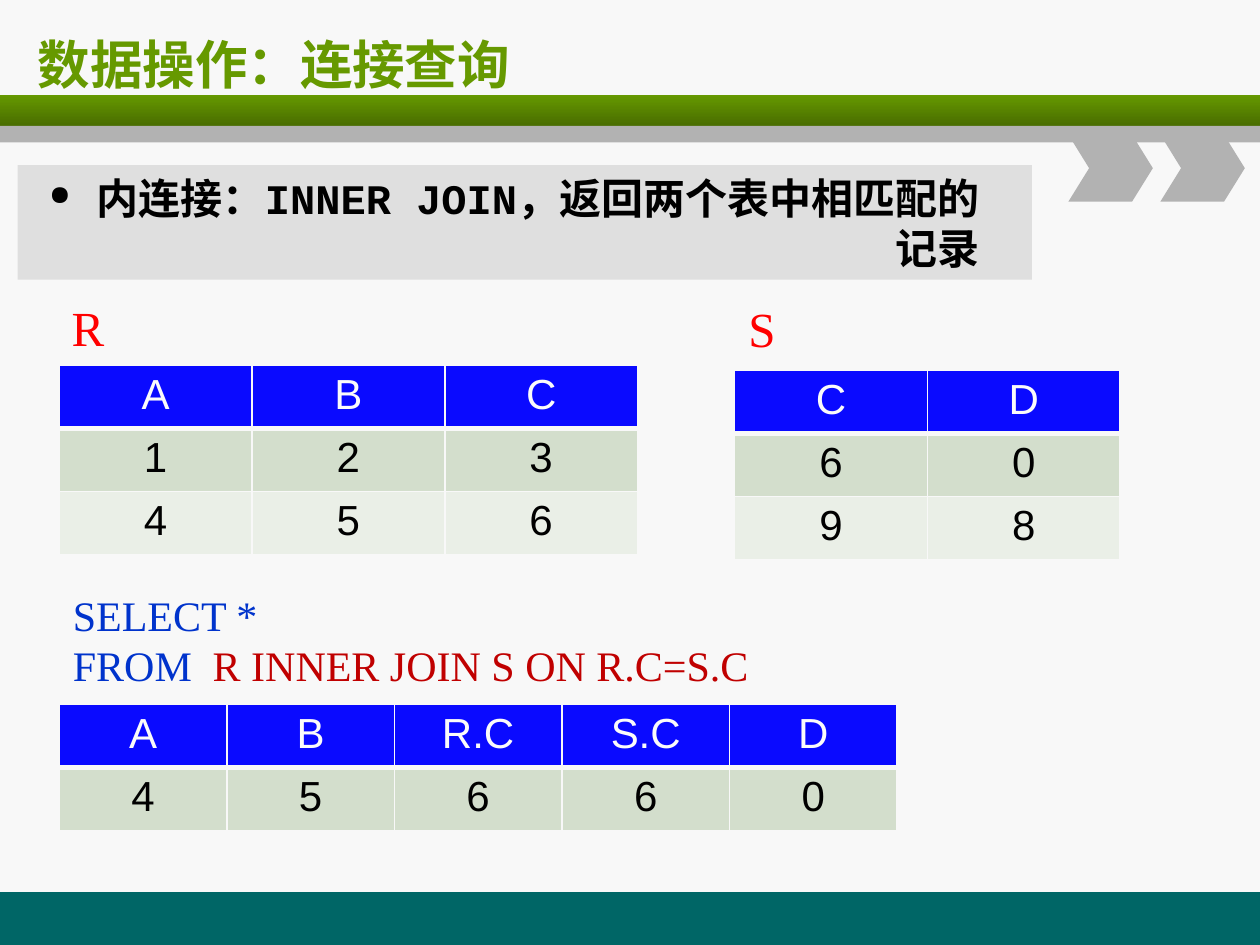
from lxml import etree
from pptx import Presentation
from pptx.dml.color import RGBColor
from pptx.enum.shapes import MSO_SHAPE
from pptx.enum.text import MSO_ANCHOR, PP_ALIGN
from pptx.oxml.ns import qn
from pptx.util import Inches, Pt

RECTANGLE = MSO_SHAPE.RECTANGLE
CHEVRON = MSO_SHAPE.CHEVRON
MIDDLE = MSO_ANCHOR.MIDDLE
CENTER = PP_ALIGN.CENTER
LEFT = PP_ALIGN.LEFT
RIGHT = PP_ALIGN.RIGHT

BACKGROUND = RGBColor(0xF8, 0xF8, 0xF8)
TEAL = RGBColor(0x00, 0x66, 0x66)
GREEN = RGBColor(0x66, 0x99, 0x00)
DARK_GREEN = RGBColor(0x49, 0x6D, 0x00)
GRAY = RGBColor(0xB2, 0xB2, 0xB2)
LIGHT_GRAY = RGBColor(0xDF, 0xDF, 0xDF)
RED = RGBColor(0xFF, 0x00, 0x00)
DARK_RED = RGBColor(0xC0, 0x00, 0x00)
BLUE = RGBColor(0x00, 0x33, 0xCC)
HEADER_BLUE = RGBColor(0x0A, 0x0A, 0xFF)
HEADER_TEXT = RGBColor(0xFB, 0xFB, 0xFB)
BLACK = RGBColor(0x00, 0x00, 0x00)
ROW_FILLS = [RGBColor(0xD3, 0xDE, 0xCC), RGBColor(0xEA, 0xEF, 0xE7)]
ROW_HEIGHT = 0.5


def add_block(slide, preset, left, top, width, height, color):
    shape = slide.shapes.add_shape(
        preset, Inches(left), Inches(top), Inches(width), Inches(height))
    shape.shadow.inherit = False
    shape.fill.solid()
    shape.fill.fore_color.rgb = color
    shape.line.fill.background()
    return shape


def add_run(paragraph, text, size, font, color, bold=False):
    run = paragraph.add_run()
    run.text = text
    run.font.size = Pt(size)
    run.font.name = font
    run.font.bold = bold
    run.font.color.rgb = color
    return run


def add_text_box(slide, left, top, width, height, wrap=False):
    box = slide.shapes.add_textbox(
        Inches(left), Inches(top), Inches(width), Inches(height))
    box.text_frame.word_wrap = wrap
    return box.text_frame


def add_frame(slide, top):
    add_block(slide, RECTANGLE, 0, 7.08, 10, 0.42, TEAL)
    band = add_block(slide, RECTANGLE, 0, top, 10, 0.25, GREEN)
    band.fill.gradient()
    band.fill.gradient_angle = 270
    for stop, position, color in zip(
            band.fill.gradient_stops, (0, 1), (GREEN, DARK_GREEN)):
        stop.position = position
        stop.color.rgb = color
    add_block(slide, RECTANGLE, 0, top + 0.25, 10, 0.13, GRAY)
    for left in (8.48, 9.21):
        chevron = add_block(slide, CHEVRON, left, top + 0.32, 0.67, 0.53, GRAY)
        chevron.adjustments[0] = 0.31


def add_title(slide, left, top, width, height):
    frame = add_text_box(slide, left, top, width, height, True)
    frame.vertical_anchor = MIDDLE
    run = add_run(frame.paragraphs[0], "数据操作：连接查询", 30, "DejaVu Sans", GREEN, True)
    east_asian = etree.SubElement(run.font._element, qn("a:ea"))
    east_asian.set("typeface", "DejaVu Sans")


def add_definition(slide, left, top, width, height):
    shape = add_block(slide, RECTANGLE, left, top, width, height, LIGHT_GRAY)
    frame = shape.text_frame
    frame.word_wrap = True
    frame.margin_right = Inches(0.42)
    paragraph = frame.paragraphs[0]
    paragraph.alignment = RIGHT
    properties = paragraph._p.get_or_add_pPr()
    properties.set("marL", str(Inches(0.38)))
    properties.set("indent", str(-Inches(0.38)))
    etree.SubElement(properties, qn("a:buSzPct")).set("val", "65000")
    etree.SubElement(properties, qn("a:buChar")).set("char", "●")
    add_run(paragraph, "内连接：INNER JOIN，返回两个表中相匹配的记录",
            24, "Courier New", BLACK, True)


def add_query(slide, left, top, width, height):
    frame = add_text_box(slide, left, top, width, height)
    select = frame.paragraphs[0]
    add_run(select, "SELECT *", 24, "Times New Roman", BLUE)
    source = frame.add_paragraph()
    for paragraph in (select, source):
        paragraph.alignment = LEFT
    tabs = etree.SubElement(source._p.get_or_add_pPr(), qn("a:tabLst"))
    tab = etree.SubElement(tabs, qn("a:tab"))
    tab.set("pos", str(Inches(1.11)))
    tab.set("algn", "l")
    add_run(source, "FROM\t", 24, "Times New Roman", BLUE)
    add_run(source, "R INNER JOIN S ON R.C=S.C", 24, "Times New Roman", DARK_RED)


def set_borders(cell, top_width, bottom_width):
    properties = cell._tc.get_or_add_tcPr()
    widths = {"lnL": 1, "lnR": 1, "lnT": top_width, "lnB": bottom_width}
    for side, width in widths.items():
        line = etree.SubElement(properties, qn("a:" + side))
        line.set("w", str(Pt(width)))
        fill = etree.SubElement(line, qn("a:solidFill"))
        etree.SubElement(fill, qn("a:srgbClr")).set("val", str(BACKGROUND))


def add_relation(slide, left, top, column_width, rows):
    columns = len(rows[0])
    table = slide.shapes.add_table(
        len(rows), columns, Inches(left), Inches(top),
        Inches(column_width * columns), Inches(ROW_HEIGHT * len(rows))).table
    table.first_row = False
    table.horz_banding = False
    for row_index, values in enumerate(rows):
        header = row_index == 0
        fill = HEADER_BLUE if header else ROW_FILLS[(row_index - 1) % 2]
        for column_index, value in enumerate(values):
            cell = table.cell(row_index, column_index)
            set_borders(cell, 3 if row_index == 1 else 1, 3 if header else 1)
            cell.fill.solid()
            cell.fill.fore_color.rgb = fill
            paragraph = cell.text_frame.paragraphs[0]
            paragraph.alignment = CENTER
            add_run(paragraph, value, 24, "Arial", HEADER_TEXT if header else BLACK)


def add_relation_name(slide, left, top, width, height, name):
    frame = add_text_box(slide, left, top, width, height)
    frame.paragraphs[0].alignment = LEFT
    add_run(frame.paragraphs[0], name, 28, "Times New Roman", RED)


def main():
    presentation = Presentation()
    presentation.slide_width = Inches(10)
    presentation.slide_height = Inches(7.5)
    slide = presentation.slides.add_slide(presentation.slide_layouts[6])
    slide.background.fill.solid()
    slide.background.fill.fore_color.rgb = BACKGROUND
    add_frame(slide, 0.75)
    add_title(slide, 0.2, 0.17, 9.55, 0.67)
    add_relation_name(slide, 0.47, 2.31, 0.46, 0.57, "R")
    add_relation_name(slide, 5.84, 2.32, 0.42, 0.57, "S")
    add_query(slide, 0.48, 4.63, 5.62, 0.91)
    add_definition(slide, 0.14, 1.31, 8.05, 0.91)
    add_relation(slide, 0.47, 2.9, 1.53, ["ABC", "123", "456"])
    add_relation(slide, 5.83, 2.94, 1.53, ["CD", "60", "98"])
    add_relation(slide, 0.47, 5.59, 1.33, [["A", "B", "R.C", "S.C", "D"], "45660"])
    presentation.save("out.pptx")


if __name__ == "__main__":
    main()
